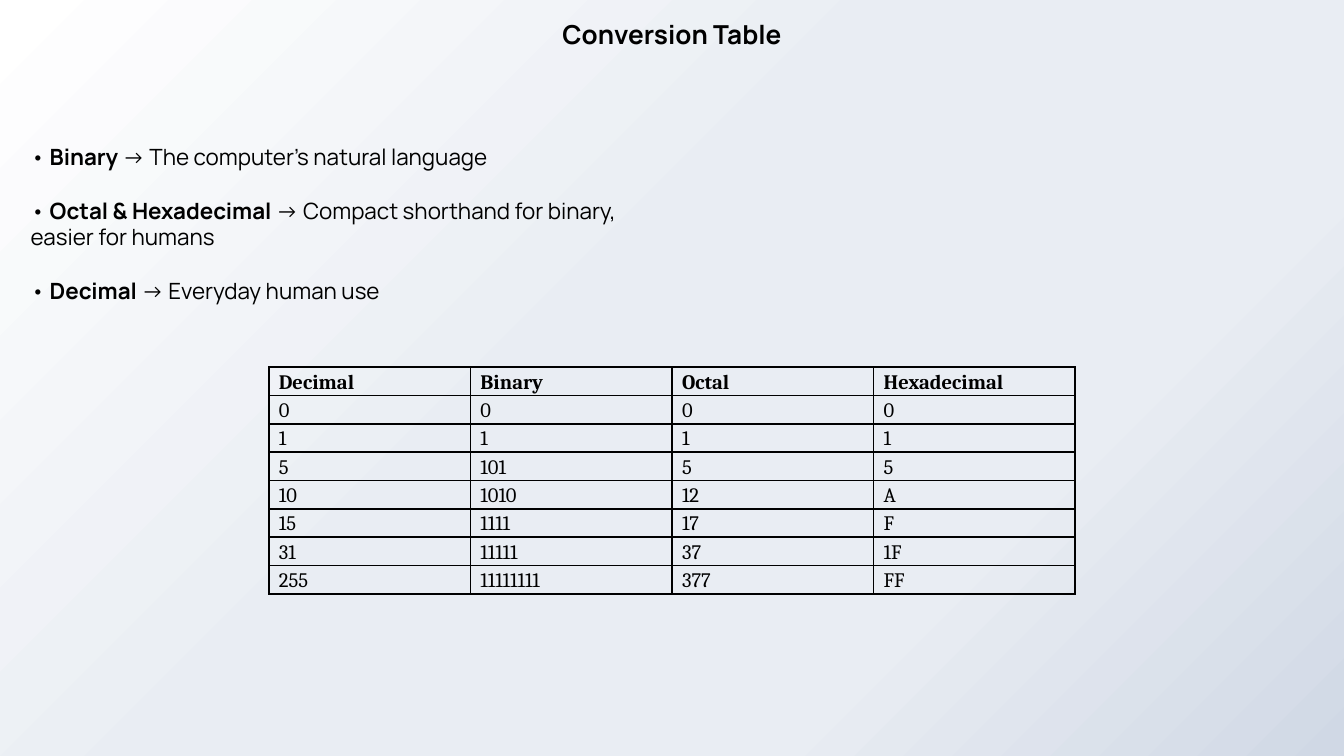
from dataclasses import dataclass

from pptx import Presentation
from pptx.dml.color import RGBColor
from pptx.enum.text import MSO_ANCHOR, PP_ALIGN
from pptx.oxml import parse_xml
from pptx.util import Inches, Pt

SPACE = (
    'xmlns:a="http://schemas.openxmlformats.org/drawingml/2006/main" '
    'xmlns:p="http://schemas.openxmlformats.org/presentationml/2006/main"'
)
COLS, ROWS = 80, 45


@dataclass(frozen=True)
class Theme:
    ink: str = "000000"
    fade: tuple = ((0, "FFFFFF"), (44, "E9EDF3"), (72, "E9EDF3"), (100, "D0D8E5"))
    sans: str = "Manrope"
    serif: str = "Cambria"
    head: int = 14
    body: int = 12
    cell: int = 11
    gap: float = 14.3
    inset: float = 5.4
    rule: int = 1


class Page:
    def __init__(self, deck, theme):
        self.deck = deck
        self.theme = theme
        self.slide = deck.slides.add_slide(deck.slide_layouts[5])

    def grid(self, left, top, wide, high):
        col = self.deck.slide_width / COLS
        row = self.deck.slide_height / ROWS
        return [round(n) for n in (left * col, top * row, wide * col, high * row)]

    def style(self, para, face, size, bold=None):
        font = para.font
        font.name, font.size, font.bold = face, Pt(size), bold
        font.color.rgb = RGBColor.from_string(self.theme.ink)

    def back(self):
        stops = "".join(
            f'<a:gs pos="{at * 1000}"><a:srgbClr val="{tint}"/></a:gs>'
            for at, tint in self.theme.fade
        )
        self.slide.element.cSld.insert(0, parse_xml(
            f'<p:bg {SPACE}><p:bgPr><a:gradFill rotWithShape="1">'
            f'<a:gsLst>{stops}</a:gsLst><a:path path="circle">'
            '<a:fillToRect r="100000" b="100000"/></a:path>'
            '</a:gradFill><a:effectLst/></p:bgPr></p:bg>'
        ))

    def title(self, text, *area):
        shape = self.slide.shapes.title
        shape.left, shape.top, shape.width, shape.height = self.grid(*area)
        frame = shape.text_frame
        frame.text = text
        frame.vertical_anchor = MSO_ANCHOR.TOP
        para = frame.paragraphs[0]
        para.alignment = PP_ALIGN.CENTER
        self.style(para, self.theme.sans, self.theme.head, True)

    def points(self, items, *area):
        frame = self.slide.shapes.add_textbox(*self.grid(*area)).text_frame
        frame.word_wrap = True
        for place, (term, note) in enumerate(items):
            para = frame.add_paragraph() if place else frame.paragraphs[0]
            self.style(para, self.theme.sans, self.theme.body)
            para.space_before = Pt(self.theme.gap if place else 0)
            for text, bold in (("• ", False), (term, True), (f" → {note}", False)):
                run = para.add_run()
                run.text, run.font.bold = text, bold

    def table(self, data, *area):
        table = self.slide.shapes.add_table(
            len(data), len(data[0]), *self.grid(*area)
        ).table
        table.first_row = table.horz_banding = False
        for row, line in enumerate(data):
            for col, text in enumerate(line):
                self.cell(table.cell(row, col), text, row == 0)

    def cell(self, cell, text, bold):
        cell.text = text
        cell.margin_left = cell.margin_right = Pt(self.theme.inset)
        cell.margin_top = cell.margin_bottom = 0
        para = cell.text_frame.paragraphs[0]
        para.line_spacing, para.space_after = 1.15, Pt(10)
        self.style(para, self.theme.serif, self.theme.cell, bold)
        cell.fill.background()
        props = cell._tc.get_or_add_tcPr()
        for place, side in enumerate("LRTB"):
            props.insert(place, parse_xml(
                f'<a:ln{side} {SPACE} w="{Pt(self.theme.rule)}"><a:solidFill>'
                f'<a:srgbClr val="{self.theme.ink}"/></a:solidFill></a:ln{side}>'
            ))


def main():
    deck = Presentation()
    deck.slide_width = Inches(10)
    deck.slide_height = deck.slide_width * 9 // 16
    page = Page(deck, Theme())
    page.back()
    page.title("Conversion Table", 25, 0.7, 30, 2.7)
    page.points([
        ("Binary", "The computer’s natural language"),
        ("Octal & Hexadecimal", "Compact shorthand for binary, easier for humans"),
        ("Decimal", "Everyday human use"),
    ], 1.04, 8.13, 38.96, 13.75)
    page.table([
        ("Decimal", "Binary", "Octal", "Hexadecimal"),
        ("0", "0", "0", "0"),
        ("1", "1", "1", "1"),
        ("5", "101", "5", "5"),
        ("10", "1010", "12", "A"),
        ("15", "1111", "17", "F"),
        ("31", "11111", "37", "1F"),
        ("255", "11111111", "377", "FF"),
    ], 16, 21.85, 48, 12.3)
    deck.save("out.pptx")


if __name__ == "__main__":
    main()
